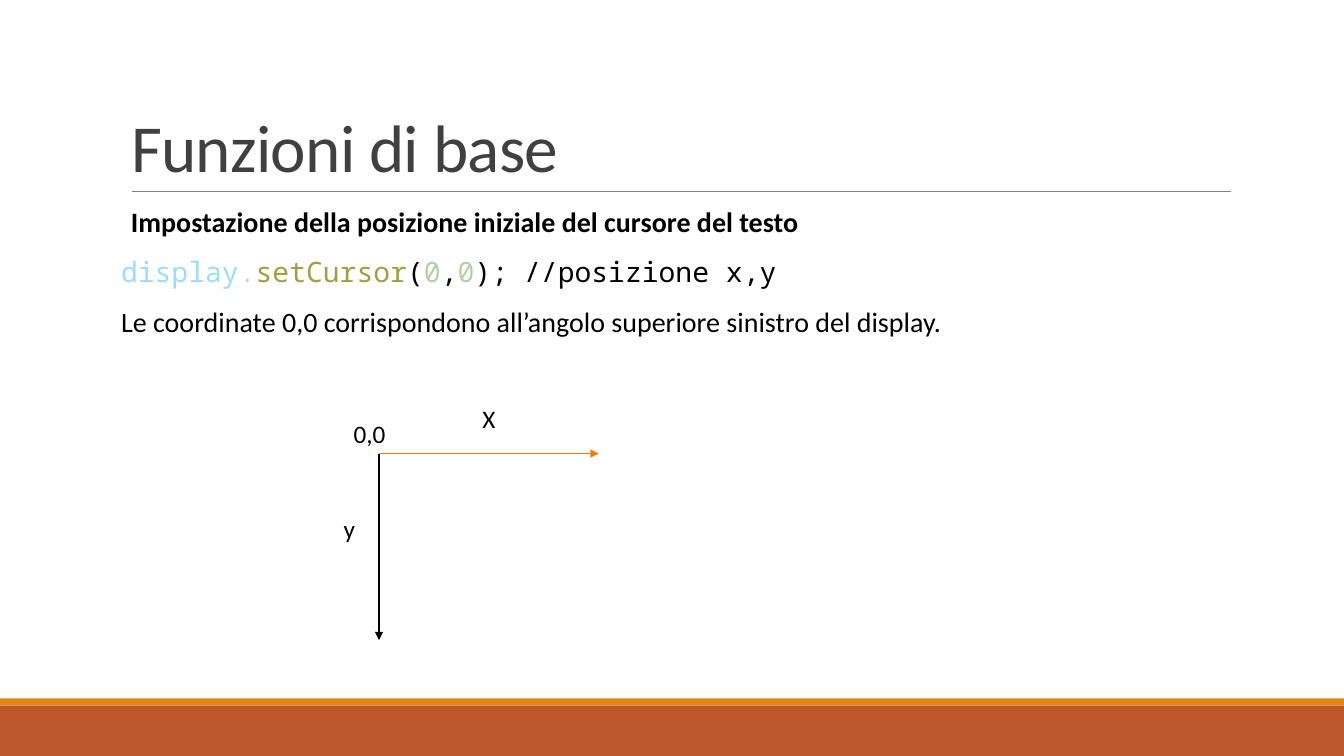
"""Build the slide on the text cursor position of a display."""
from typing import NamedTuple, Optional

from lxml.etree import SubElement
from pptx import Presentation
from pptx.dml.color import RGBColor
from pptx.enum.shapes import MSO_CONNECTOR, MSO_SHAPE
from pptx.enum.text import MSO_ANCHOR, MSO_AUTO_SIZE, PP_ALIGN
from pptx.oxml.ns import qn
from pptx.util import Cm, Pt

WHITE = RGBColor(0xFF, 0xFF, 0xFF)
BLACK = RGBColor(0x00, 0x00, 0x00)
DARK_GREY = RGBColor(0x40, 0x40, 0x40)
GREY = RGBColor(0x80, 0x80, 0x80)
ORANGE = RGBColor(0xE4, 0x83, 0x12)
RUST = RGBColor(0xBD, 0x58, 0x2C)
CODE_OBJECT = RGBColor(0x9C, 0xDC, 0xFE)
CODE_DOT = RGBColor(0xD4, 0xD4, 0xD4)
CODE_METHOD = RGBColor(0xA1, 0x9F, 0x41)
CODE_NUMBER = RGBColor(0xB5, 0xCE, 0xA8)
SANS, MONO = "Calibri", "Noto Sans Mono"
WIDTH, HEIGHT = 33.87, 19.05
LEFT, TEXT_WIDTH = 3.05, 27.94
ORIGIN_X, ORIGIN_Y = 9.55, 11.43


class Band(NamedTuple):
    top: float
    height: float
    color: RGBColor


class Line(NamedTuple):
    start: tuple[float, float]
    end: tuple[float, float]
    color: RGBColor
    weight: float
    arrow: bool = True


class Label(NamedTuple):
    text: str
    left: float
    top: float


BANDS = [Band(17.78, 1.27, RUST), Band(17.6, 0.18, ORANGE)]
LINES = [
    Line((3.33, 4.83), (31.01, 4.83), GREY, 0.5, arrow=False),
    Line((ORIGIN_X, ORIGIN_Y), (ORIGIN_X, 16.13), BLACK, 1),
    Line((ORIGIN_X, ORIGIN_Y), (15.09, ORIGIN_Y), ORANGE, 1),
]
LABELS = [Label("X", 11.91, 10.03), Label("y", 8.41, 12.8), Label("0,0", 8.66, 10.41)]
CODE = [
    ("display", CODE_OBJECT),
    (".", CODE_DOT),
    ("setCursor", CODE_METHOD),
    ("(", BLACK),
    ("0", CODE_NUMBER),
    (",", BLACK),
    ("0", CODE_NUMBER),
    (");\t//posizione x,y", BLACK),
]


def write(paragraph, text: str, *, size: float = 20, color: RGBColor = BLACK,
          font: str = SANS, bold: bool = False, spacing: Optional[int] = None) -> None:
    """Append one formatted run to a paragraph."""
    run = paragraph.add_run()
    run.text = text
    run.font.size = Pt(size)
    run.font.name = font
    run.font.bold = bold
    run.font.color.rgb = color
    if spacing is not None:
        run.font._element.set("spc", str(spacing))


def place(shape, left: float, top: float, width: float, height: float) -> None:
    """Move and size a shape in centimetres."""
    shape.left, shape.top, shape.width, shape.height = map(Cm, (left, top, width, height))


def draw_band(slide, band: Band) -> None:
    """Draw a full-width footer band."""
    strip = slide.shapes.add_shape(
        MSO_SHAPE.RECTANGLE, 0, Cm(band.top), Cm(WIDTH), Cm(band.height))
    strip.shadow.inherit = False
    strip.fill.solid()
    strip.fill.fore_color.rgb = band.color
    strip.line.fill.background()


def draw_line(slide, line: Line) -> None:
    """Draw a straight line, with an arrowhead at its end if wanted."""
    connector = slide.shapes.add_connector(
        MSO_CONNECTOR.STRAIGHT, *map(Cm, line.start + line.end))
    connector.line.color.rgb = line.color
    connector.line.width = Pt(line.weight)
    if line.arrow:
        SubElement(connector.line._get_or_add_ln(), qn("a:tailEnd"), type="triangle")
    SubElement(connector._element.spPr, qn("a:effectLst"))


def draw_label(slide, label: Label) -> None:
    """Draw the name of an axis or point."""
    box = slide.shapes.add_textbox(Cm(label.left), Cm(label.top), Cm(1.83), Cm(1.02))
    box.text_frame.word_wrap = True
    write(box.text_frame.paragraphs[0], label.text, size=18)


def format_item(paragraph, *, bullet: bool = False, before: float = 12) -> None:
    """Set the bullet, indent and spacing of a body paragraph."""
    properties = paragraph._p.get_or_add_pPr()
    indent = Cm(0.25) if bullet else 0
    properties.set("marL", str(indent))
    properties.set("indent", str(-indent))
    if bullet:
        bullet_color = SubElement(properties, qn("a:buClr"))
        SubElement(bullet_color, qn("a:srgbClr"), val=str(ORANGE))
        SubElement(properties, qn("a:buChar"), char=" ")
    else:
        SubElement(properties, qn("a:buNone"))
    paragraph.alignment = PP_ALIGN.LEFT
    paragraph.line_spacing = 0.9
    paragraph.space_before = Pt(before)
    paragraph.space_after = Pt(2)


def fill_title(title) -> None:
    """Place and write the title."""
    place(title, LEFT, 0.79, TEXT_WIDTH, 4.04)
    frame = title.text_frame
    frame.auto_size = MSO_AUTO_SIZE.NONE
    frame.vertical_anchor = MSO_ANCHOR.BOTTOM
    heading = frame.paragraphs[0]
    heading.alignment = PP_ALIGN.LEFT
    heading.line_spacing = 0.85
    write(heading, "Funzioni di base", size=48, color=DARK_GREY, spacing=-50)


def fill_body(body) -> None:
    """Place and write the explanation with its line of code."""
    place(body, LEFT, 5.13, TEXT_WIDTH, 11.18)
    body.fill.solid()
    body.fill.fore_color.rgb = WHITE
    frame = body.text_frame
    frame.auto_size = MSO_AUTO_SIZE.NONE
    frame.vertical_anchor = MSO_ANCHOR.TOP
    frame.margin_left = frame.margin_right = 0
    purpose = frame.paragraphs[0]
    format_item(purpose, bullet=True, before=0)
    write(purpose, "Impostazione della posizione iniziale del cursore del testo", bold=True)
    call = frame.add_paragraph()
    format_item(call)
    for token, color in CODE:
        write(call, token, color=color, font=MONO)
    note = frame.add_paragraph()
    format_item(note)
    write(note, "Le coordinate 0,0 corrispondono all’angolo superiore sinistro del display.")


def main() -> None:
    """Build and save the slide."""
    deck = Presentation()
    deck.slide_width, deck.slide_height = Cm(WIDTH), Cm(HEIGHT)
    slide = deck.slides.add_slide(deck.slide_layouts[1])
    fill_title(slide.shapes.title)
    fill_body(slide.placeholders[1])
    for band in BANDS:
        draw_band(slide, band)
    for line in LINES:
        draw_line(slide, line)
    for label in LABELS:
        draw_label(slide, label)
    deck.save("out.pptx")


if __name__ == "__main__":
    main()
